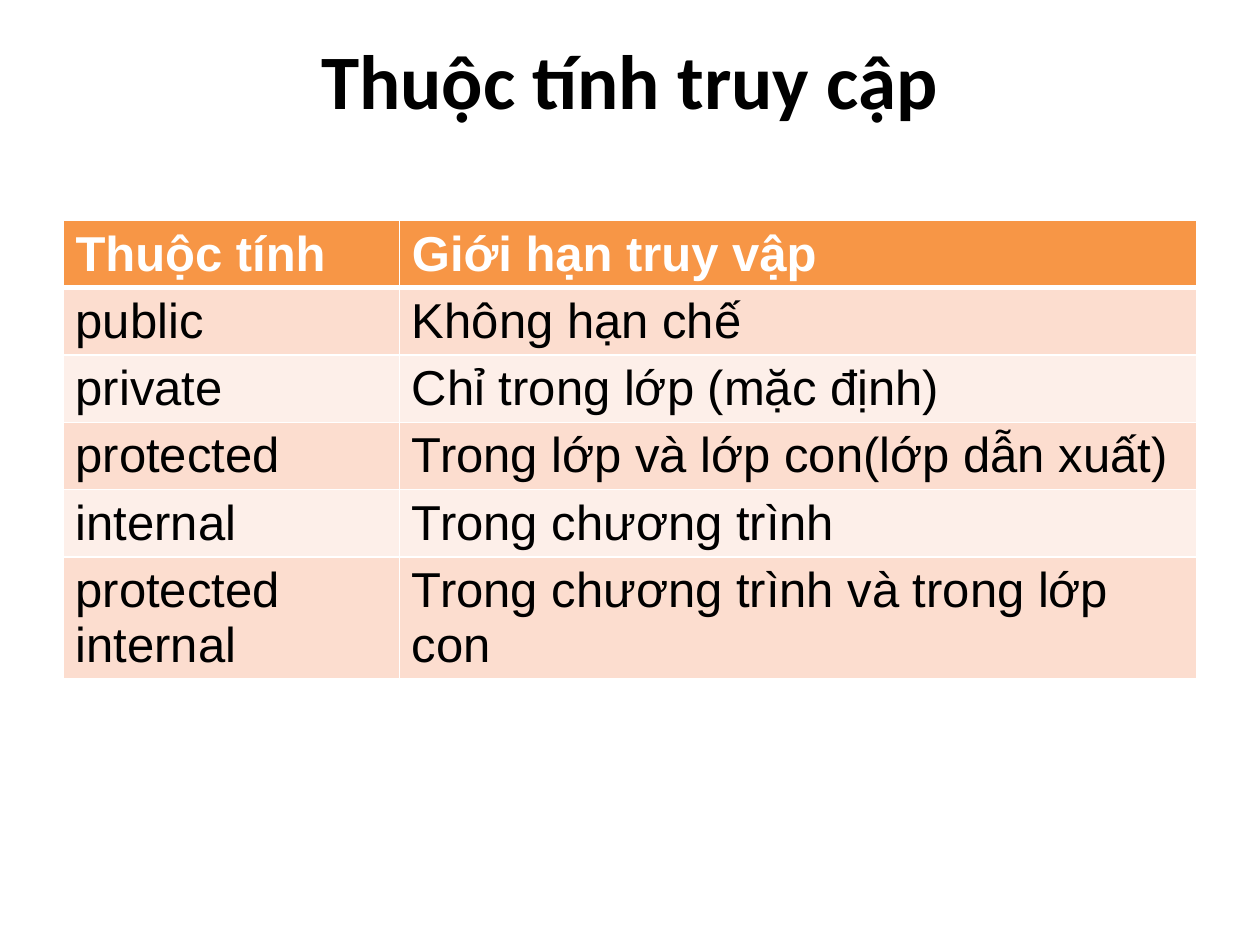
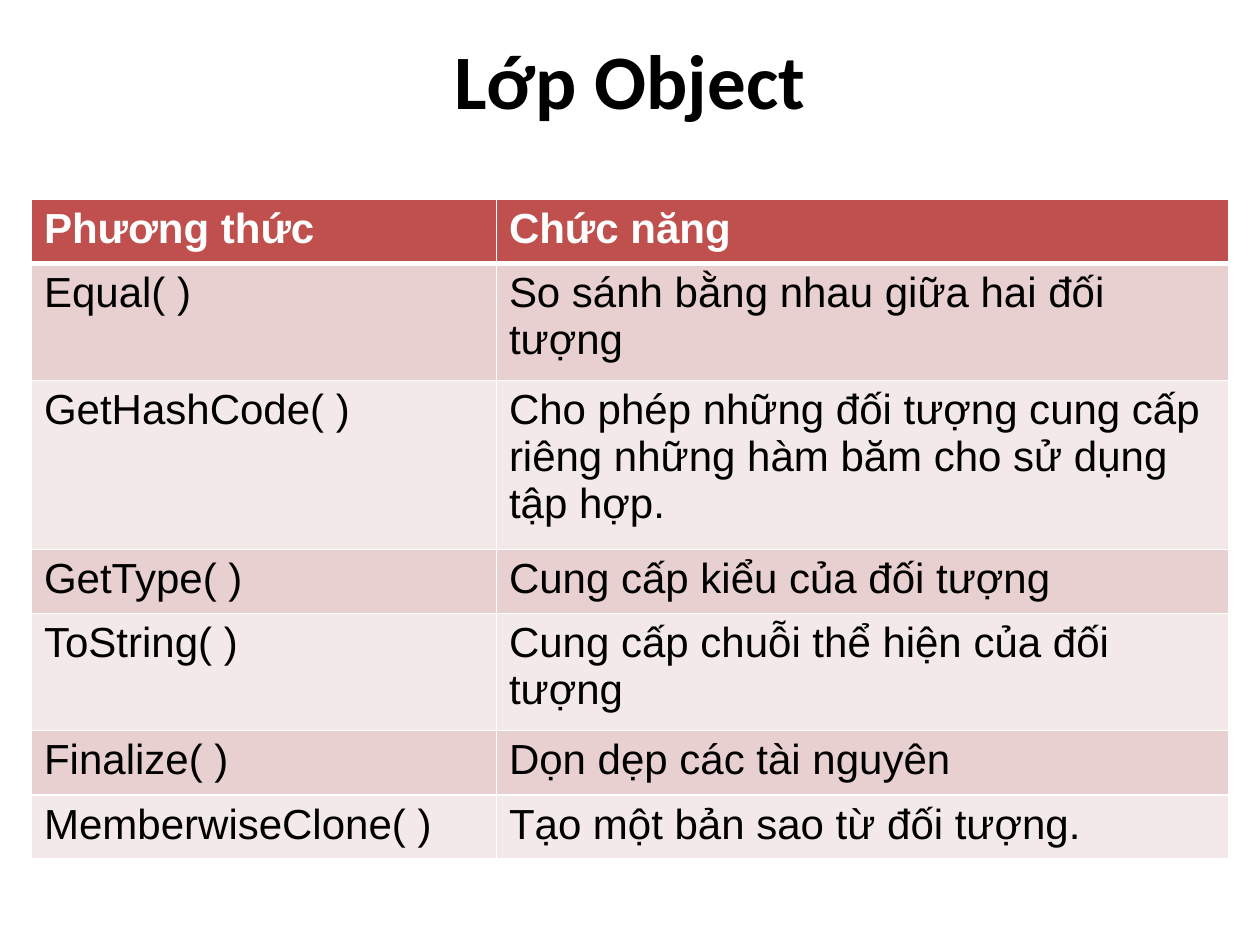
import pptx
import pptx.dml.color
import pptx.enum.text
import pptx.oxml
import pptx.oxml.ns
import pptx.util

Inches = pptx.util.Inches
RGBColor = pptx.dml.color.RGBColor

BLACK = RGBColor(0x00, 0x00, 0x00)
WHITE = RGBColor(0xFF, 0xFF, 0xFF)
ORANGE_THEME = (RGBColor(0xF7, 0x96, 0x46), RGBColor(0xFC, 0xDD, 0xCF), RGBColor(0xFD, 0xEF, 0xE9))
RED_THEME = (RGBColor(0xC0, 0x50, 0x4D), RGBColor(0xE8, 0xD0, 0xD0), RGBColor(0xF4, 0xE9, 0xE9))

SLIDES = [
    dict(
        title="Thuộc tính truy cập",
        theme=ORANGE_THEME,
        text_size=28,
        frame=(0.5, 1.75, 9, 3.87),
        column_widths=[2.67, 6.33],
        row_heights=[0.41] * 6,
        rows=[
            ("Thuộc tính", "Giới hạn truy vập"),
            ("public", "Không hạn chế"),
            ("private", "Chỉ trong lớp (mặc định)"),
            ("protected", "Trong lớp và lớp con(lớp dẫn xuất)"),
            ("internal", "Trong chương trình"),
            ("protected internal", "Trong chương trình và trong lớp con"),
        ],
    ),
    dict(
        title="Lớp Object",
        theme=RED_THEME,
        text_size=24,
        frame=(0.25, 1.58, 9.5, 5.25),
        column_widths=[3.69, 5.81],
        row_heights=[0.51, 0.93, 1.34, 0.51, 0.93, 0.51, 0.51],
        rows=[
            ("Phương thức", "Chức năng"),
            ("Equal( )", "So sánh bằng nhau giữa hai đối tượng"),
            ("GetHashCode( )", "Cho phép những đối tượng cung cấp riêng những hàm băm cho sử dụng tập hợp."),
            ("GetType( )", "Cung cấp kiểu của đối tượng"),
            ("ToString( )", "Cung cấp chuỗi thể hiện của đối tượng"),
            ("Finalize( )", "Dọn dẹp các tài nguyên"),
            ("MemberwiseClone( )", "Tạo một bản sao từ đối tượng."),
        ],
    ),
]


def write_text(text_frame, text, *, size, font="Arial", color=BLACK, bold=False, align=None):
    paragraph = text_frame.paragraphs[0]
    paragraph.alignment = align
    run = paragraph.add_run()
    run.text = text
    run.font.name = font
    run.font.size = pptx.util.Pt(size)
    run.font.bold = bold
    run.font.color.rgb = color


def add_borders(cell, **widths):
    """Draw white cell borders; call before filling, as the schema puts lines first."""
    for side in "LRTB":
        width = pptx.util.Pt(widths.get(side, 1))
        cell._tc.get_or_add_tcPr().append(pptx.oxml.parse_xml(
            f'<a:ln{side} {pptx.oxml.ns.nsdecls("a")} w="{width}">'
            f'<a:solidFill><a:srgbClr val="{WHITE}"/></a:solidFill></a:ln{side}>'))


presentation = pptx.Presentation()
presentation.slide_width = Inches(10)
presentation.slide_height = Inches(7.5)
title_only = presentation.slide_layouts.get_by_name("Title Only")

for content in SLIDES:
    slide = presentation.slides.add_slide(title_only)

    title = slide.shapes.title
    title.left, title.top, title.width, title.height = map(Inches, (0.5, 0, 9, 1.25))
    title.text_frame.vertical_anchor = pptx.enum.text.MSO_ANCHOR.MIDDLE
    write_text(title.text_frame, content["title"], size=44, font="Calibri", bold=True,
               align=pptx.enum.text.PP_ALIGN.CENTER)

    rows = content["rows"]
    frame = slide.shapes.add_table(len(rows), len(rows[0]), *map(Inches, content["frame"]))
    table = frame.table
    for column, width in zip(table.columns, content["column_widths"]):
        column.width = Inches(width)
    for row, height in zip(table.rows, content["row_heights"]):
        row.height = Inches(height)
    frame.height = Inches(content["frame"][3])

    header_fill, odd_fill, even_fill = content["theme"]
    for row_index, texts in enumerate(rows):
        is_header = row_index == 0
        if is_header:
            fill = header_fill
        else:
            fill = odd_fill if row_index % 2 else even_fill
        for column_index, text in enumerate(texts):
            cell = table.cell(row_index, column_index)
            add_borders(cell, T=3 if row_index == 1 else 1, B=3 if is_header else 1)
            cell.fill.solid()
            cell.fill.fore_color.rgb = fill
            write_text(cell.text_frame, text, size=content["text_size"],
                       color=WHITE if is_header else BLACK, bold=is_header)

presentation.save("out.pptx")
